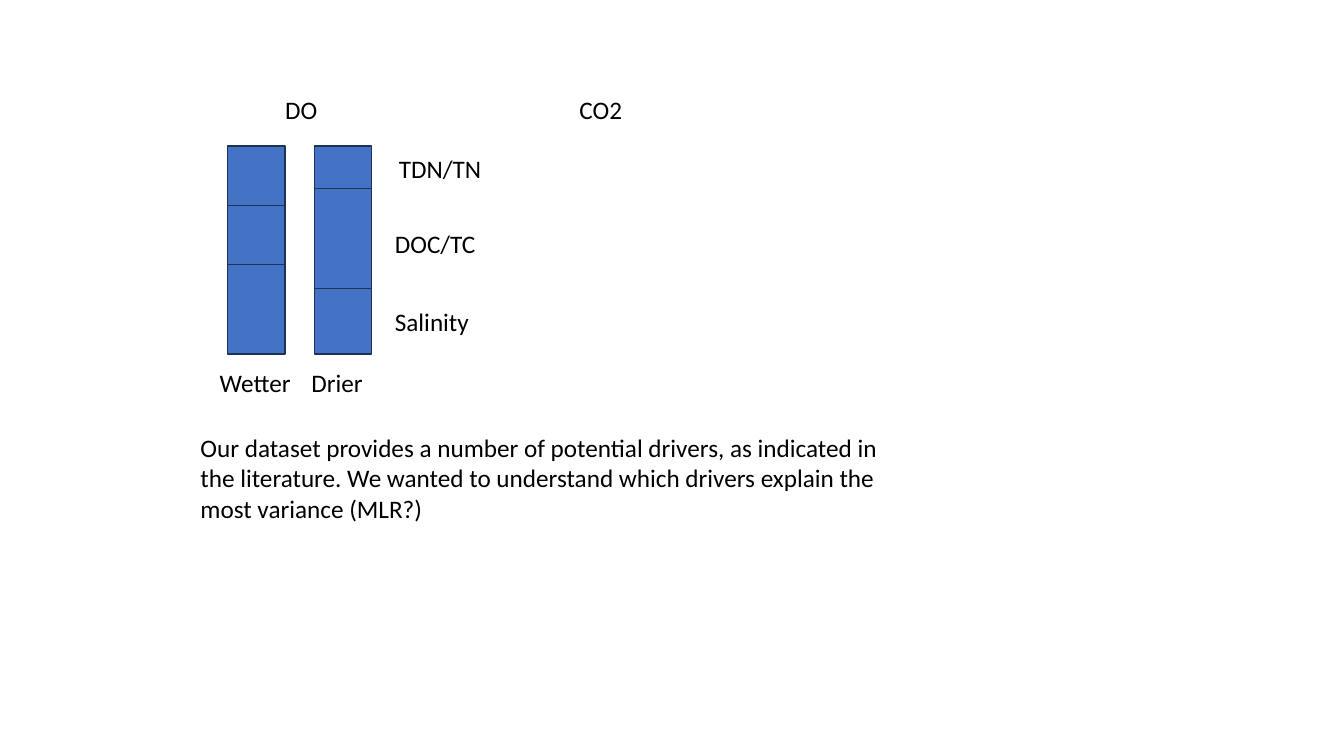
from pptx import Presentation
from pptx import util as u
from pptx.dml import color
from pptx.enum import shapes, text

COLORS = {"bar": "4472C4", "outline": "1E3256", "ink": "000000"}
FONT = "Calibri"
LABEL_HEIGHT = 29.08


def paint(name):
    return color.RGBColor.from_string(COLORS[name])


def add_text(page, content, left, top, width, height=LABEL_HEIGHT, wrap=False, size=18):
    box = page.shapes.add_textbox(u.Pt(left), u.Pt(top), u.Pt(width), u.Pt(height))
    frame = box.text_frame
    frame.word_wrap = wrap
    frame.auto_size = text.MSO_AUTO_SIZE.SHAPE_TO_FIT_TEXT
    span = frame.paragraphs[0].add_run()
    span.text = content
    span.font.name = FONT
    span.font.size = u.Pt(size)
    span.font.color.rgb = paint("ink")


def add_stack(page, left, top, width, heights):
    bottom = top + sum(heights)
    for height in reversed(heights):
        bottom -= height
        segment = page.shapes.add_shape(
            shapes.MSO_SHAPE.RECTANGLE, u.Pt(left), u.Pt(bottom), u.Pt(width), u.Pt(height)
        )
        segment.shadow.inherit = False
        segment.fill.solid()
        segment.fill.fore_color.rgb = paint("bar")
        segment.line.color.rgb = paint("outline")
        segment.line.width = u.Pt(1)


def add_driver_bars(page, left, top):
    bar_top = top + 40.3
    add_stack(page, left + 12.9, bar_top, 41, [42.3, 42.3, 63.8])
    add_stack(page, left + 74.8, bar_top, 41, [30.2, 71.4, 46.8])
    labels = [
        ("Salinity", 125.2, 151.2, 67.7),
        ("DOC/TC", 125.2, 95.7, 72.7),
        ("TDN/TN", 128.1, 41.7, 74.2),
        ("Wetter", 0, 194.4, 66.2),
        ("Drier", 65.5, 194.4, 51.8),
        ("DO", 46.8, 0, 37.4),
    ]
    for content, across, down, width in labels:
        add_text(page, content, left + across, top + down, width)


def main():
    deck = Presentation()
    deck.slide_width = u.Pt(960)
    deck.slide_height = u.Pt(540)
    page = deck.slides.add_slide(deck.slide_layouts[6])
    add_driver_bars(page, 149.8, 64.1)
    add_text(page, "CO2", 406.8, 64.1, 45.4)
    add_text(
        page,
        "Our dataset provides a number of potential drivers, as indicated in the literature. "
        "We wanted to understand which drivers explain the most variance (MLR?)",
        136.1, 305.3, 503.3, height=72.7, wrap=True,
    )
    deck.save("out.pptx")


if __name__ == "__main__":
    main()
